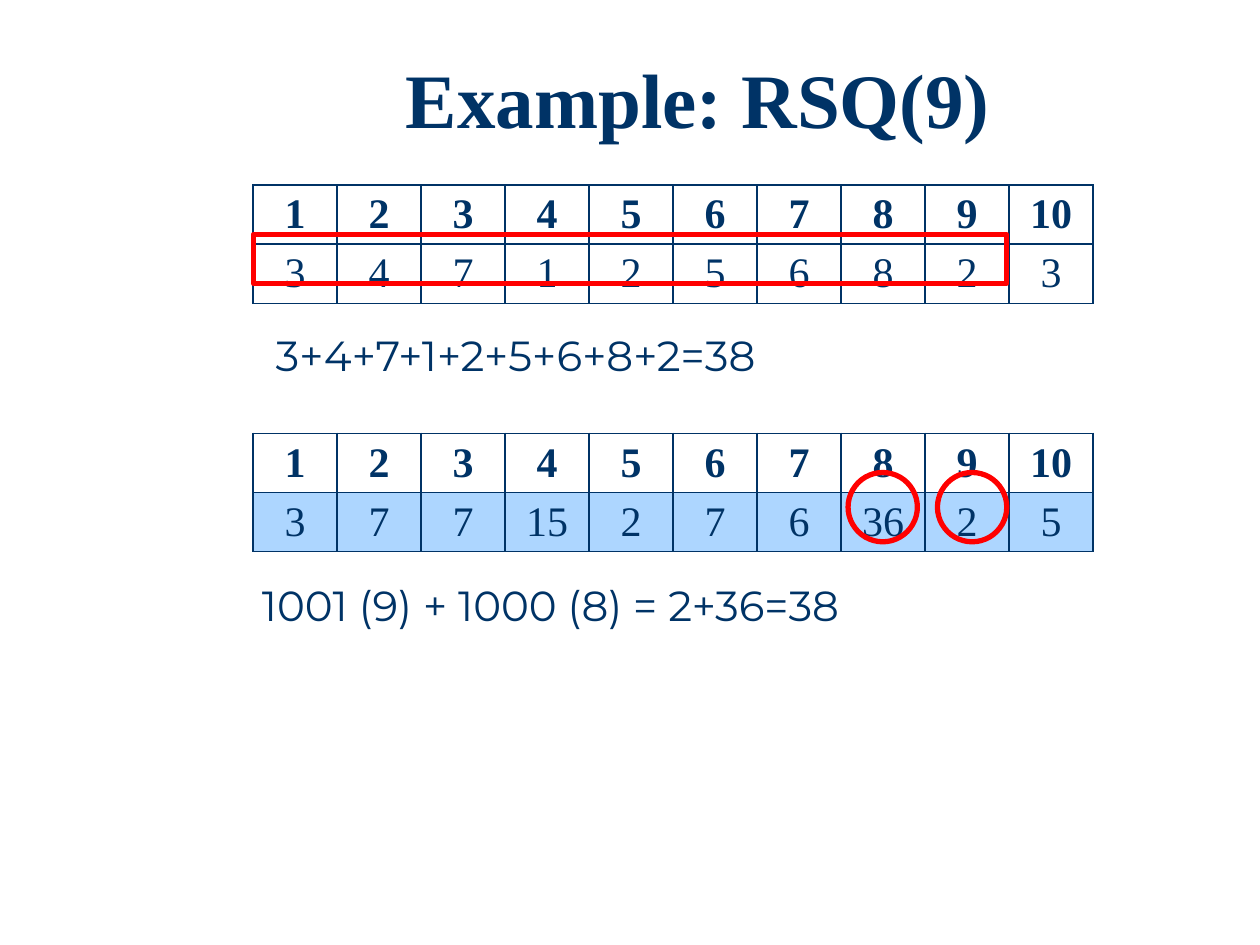
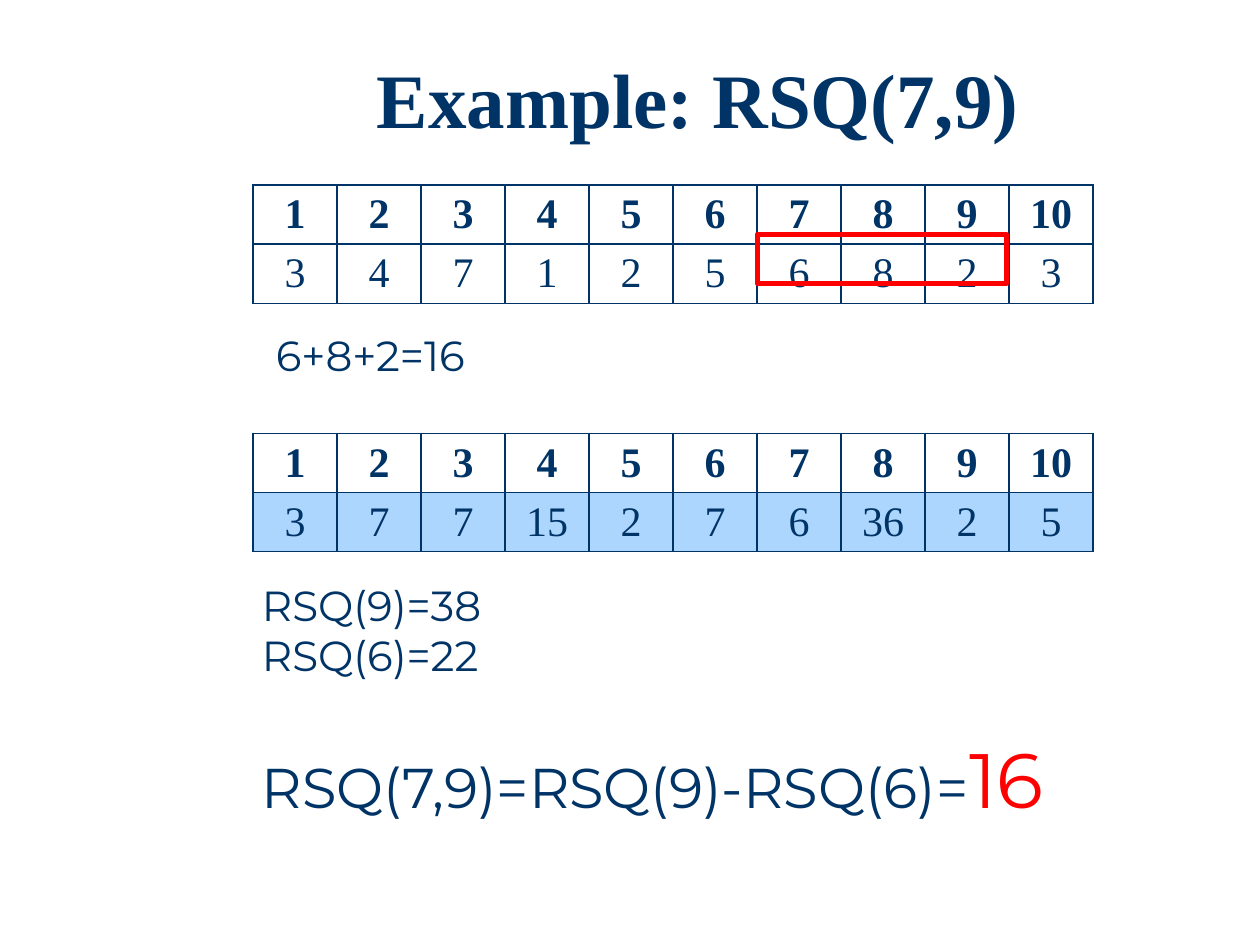
"""Build two slides that work through range sum queries on a Fenwick tree."""
from dataclasses import dataclass

import lxml.etree
import pptx
import pptx.dml.color
import pptx.enum.shapes
import pptx.enum.text
import pptx.oxml.ns
import pptx.presentation
import pptx.shapes.autoshape
import pptx.slide
import pptx.text.text
import pptx.util

Pt = pptx.util.Pt
RGBColor = pptx.dml.color.RGBColor
ALIGN = pptx.enum.text.PP_ALIGN
AUTO_SIZE = pptx.enum.text.MSO_AUTO_SIZE
SHAPE = pptx.enum.shapes.MSO_SHAPE

NAVY = RGBColor(0x00, 0x33, 0x66)
RED = RGBColor(0xFF, 0x00, 0x00)
PALE_BLUE = RGBColor(0xAD, 0xD6, 0xFF)
WHITE = RGBColor(0xFF, 0xFF, 0xFF)

SERIF = "Times New Roman"
SANS = "Montserrat"
TITLE_ONLY = 5

COLUMN = 48
ROW = 29.2
GRID_LEFT = 144.7
ARRAY_TOP = 105.8
TREE_TOP = 247.7
MARK_TOP = 133.9
MARK_HEIGHT = 28.1
CIRCLE_TOP = 270
CIRCLE_SIZE = 39.6

ARRAY = [3, 4, 7, 1, 2, 5, 6, 8, 2, 3]
TREE = [3, 7, 7, 15, 2, 7, 6, 36, 2, 5]


@dataclass(frozen=True)
class Run:
    text: str
    size: float = 24
    color: RGBColor = NAVY
    font: str = SANS
    bold: bool = False


@dataclass(frozen=True)
class Line:
    runs: list[Run]
    space_before: float = 0


@dataclass(frozen=True)
class Note:
    left: float
    top: float
    width: float
    lines: list[Line]
    auto_size: AUTO_SIZE


@dataclass(frozen=True)
class Example:
    title: str
    first: int
    last: int
    direct_sum: str
    direct_width: float
    tree_lines: list[Line]
    circle_lefts: tuple[float, ...] = ()


EXAMPLES = [
    Example("Example: RSQ(9)", 1, 9, "3+4+7+1+2+5+6+8+2=38", 336.2,
            [Line([Run("1001 (9) + 1000 (8) = 2+36=38")])], (535.7, 484.6)),
    Example("Example: RSQ(7,9)", 7, 9, "6+8+2=16", 143.3,
            [Line([Run("RSQ(9)=38")]),
             Line([Run("RSQ(6)=22")]),
             Line([Run("RSQ(7,9)=RSQ(9)-RSQ(6)=", 32), Run("16", 44, RED)], 29.25)]),
]


def add_run(paragraph: pptx.text.text._Paragraph, content: Run) -> None:
    run = paragraph.add_run()
    run.text = content.text
    run.font.size = Pt(content.size)
    run.font.name = content.font
    run.font.bold = content.bold
    run.font.color.rgb = content.color


def set_title(slide: pptx.slide.Slide, text: str) -> None:
    title = slide.shapes.title
    title.left, title.top, title.width, title.height = Pt(110.9), Pt(25.9), Pt(576), Pt(66.2)
    frame = title.text_frame
    frame.auto_size = AUTO_SIZE.NONE
    frame.vertical_anchor = pptx.enum.text.MSO_ANCHOR.MIDDLE
    paragraph = frame.paragraphs[0]
    paragraph.alignment = ALIGN.CENTER
    paragraph.line_spacing = 0.9
    add_run(paragraph, Run(text, 44, font=SERIF, bold=True))


def add_borders(cell) -> None:
    properties = cell._tc.get_or_add_tcPr()
    name = pptx.oxml.ns.qn
    for side in ("lnL", "lnR", "lnT", "lnB"):
        line = lxml.etree.SubElement(properties, name(f"a:{side}"), w=str(Pt(1)))
        fill = lxml.etree.SubElement(line, name("a:solidFill"))
        lxml.etree.SubElement(fill, name("a:srgbClr"), val=str(NAVY))


def add_grid(slide: pptx.slide.Slide, top: float, values: list[int], value_fill: RGBColor) -> None:
    count = len(values)
    table = slide.shapes.add_table(
        2, count, Pt(GRID_LEFT), Pt(top), Pt(COLUMN * count), Pt(ROW * 2)).table
    table.horz_banding = False
    table.first_row = False
    for column in table.columns:
        column.width = Pt(COLUMN)
    rows = [(range(1, count + 1), WHITE, True), (values, value_fill, False)]
    for row_index, (numbers, fill, bold) in enumerate(rows):
        table.rows[row_index].height = Pt(ROW)
        for column_index, number in enumerate(numbers):
            cell = table.cell(row_index, column_index)
            add_borders(cell)
            cell.fill.solid()
            cell.fill.fore_color.rgb = fill
            paragraph = cell.text_frame.paragraphs[0]
            paragraph.alignment = ALIGN.CENTER
            add_run(paragraph, Run(str(number), font=SERIF, bold=bold))


def add_outline(slide: pptx.slide.Slide, kind: SHAPE, left: float, top: float,
                width: float, height: float) -> None:
    shape = slide.shapes.add_shape(kind, Pt(left), Pt(top), Pt(width), Pt(height))
    shape.shadow.inherit = False
    shape.fill.background()
    shape.line.color.rgb = RED
    shape.line.width = Pt(3)


def add_note(slide: pptx.slide.Slide, note: Note) -> None:
    box = slide.shapes.add_textbox(Pt(note.left), Pt(note.top), Pt(note.width), Pt(36))
    frame = box.text_frame
    frame.word_wrap = False
    frame.auto_size = note.auto_size
    for index, line in enumerate(note.lines):
        paragraph = frame.add_paragraph() if index else frame.paragraphs[0]
        if line.space_before:
            paragraph.space_before = Pt(line.space_before)
        for run in line.runs:
            add_run(paragraph, run)


def add_example(presentation: pptx.presentation.Presentation, example: Example) -> None:
    slide = presentation.slides.add_slide(presentation.slide_layouts[TITLE_ONLY])
    set_title(slide, example.title)
    add_grid(slide, ARRAY_TOP, ARRAY, WHITE)
    add_grid(slide, TREE_TOP, TREE, PALE_BLUE)
    add_outline(slide, SHAPE.RECTANGLE, GRID_LEFT + COLUMN * (example.first - 1), MARK_TOP,
                COLUMN * (example.last - example.first + 1) - 1.5, MARK_HEIGHT)
    add_note(slide, Note(142.6, 327.6, 318.2, example.tree_lines, AUTO_SIZE.NONE))
    for left in example.circle_lefts:
        add_outline(slide, SHAPE.OVAL, left, CIRCLE_TOP, CIRCLE_SIZE, CIRCLE_SIZE)
    add_note(slide, Note(150.5, 185, example.direct_width,
                         [Line([Run(example.direct_sum)])], AUTO_SIZE.SHAPE_TO_FIT_TEXT))


def main() -> None:
    presentation = pptx.Presentation()
    presentation.slide_width = Pt(720)
    presentation.slide_height = Pt(540)
    for example in EXAMPLES:
        add_example(presentation, example)
    presentation.save("out.pptx")


if __name__ == "__main__":
    main()
